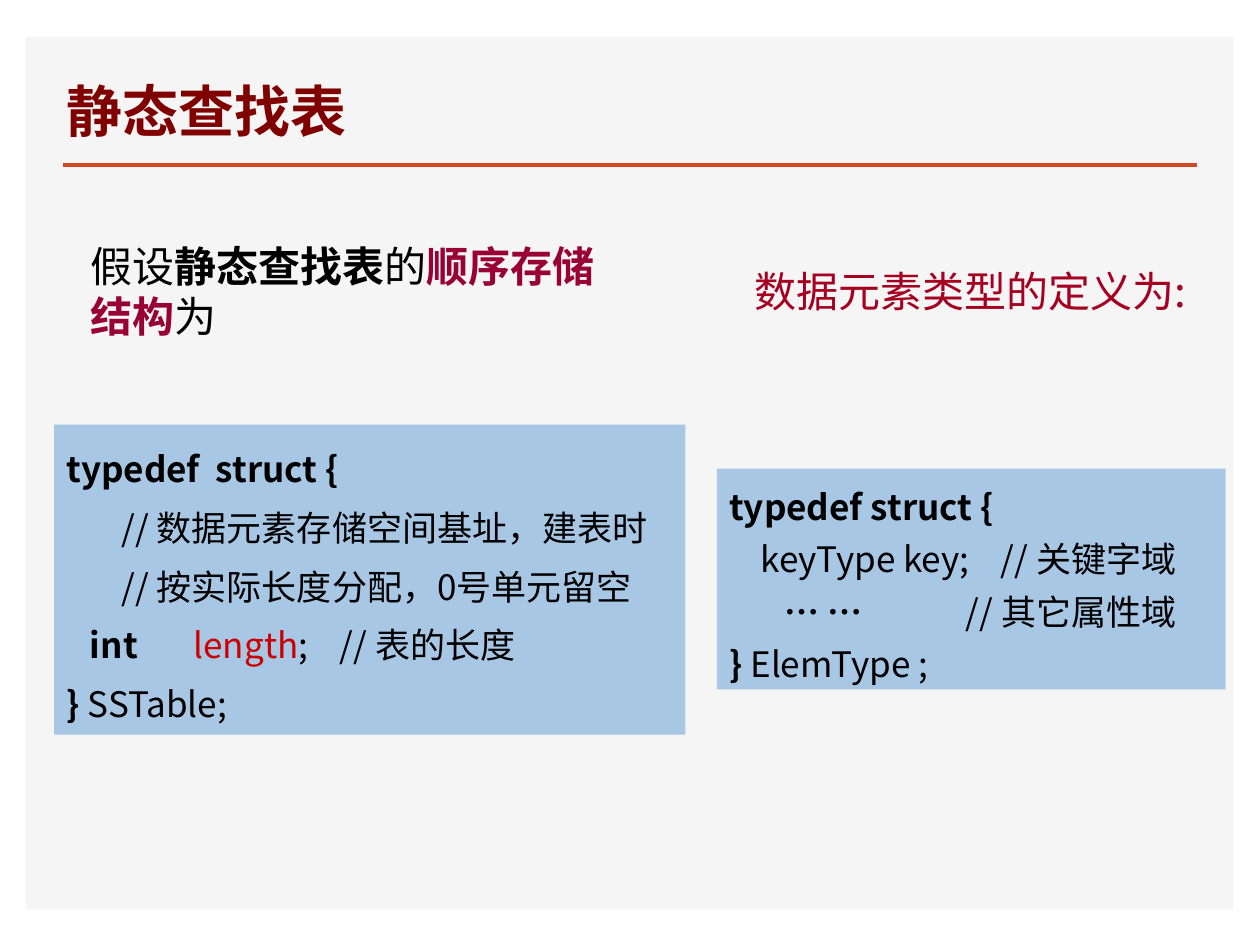
from lxml import etree
from pptx import Presentation
from pptx import util as u
from pptx.dml.color import RGBColor
from pptx.enum import shapes, text
from pptx.oxml.ns import qn

FACE = "Noto Sans CJK SC"
BLACK, RED = "000000", "CC0000"


def paint(fill, hue):
    fill.solid()
    fill.fore_color.rgb = RGBColor.from_string(hue)


def write(box, lines, size, gap=1.0, **frame):
    """Fill a box with lines, each a list of (words, bold, colour) runs."""
    body = box.text_frame
    form = {"word_wrap": True, "vertical_anchor": text.MSO_ANCHOR.TOP,
            "auto_size": text.MSO_AUTO_SIZE.SHAPE_TO_FIT_TEXT}
    for key, val in (form | frame).items():
        setattr(body, key, val)
    for i, line in enumerate(lines):
        para = body.add_paragraph() if i else body.paragraphs[0]
        para.alignment = text.PP_ALIGN.LEFT
        para.line_spacing = gap
        for words, bold, hue in line:
            run = para.add_run()
            run.text = words
            for key, val in {"name": FACE, "size": u.Pt(size), "bold": bold}.items():
                setattr(run.font, key, val)
            paint(run.font.fill, hue)
            latin = run.font._element.find(qn("a:latin"))
            east = etree.Element(qn("a:ea"), typeface=FACE)
            latin.addnext(east)


deck = Presentation()
deck.slide_width, deck.slide_height = u.Cm(25.4), u.Cm(19.05)
slide = deck.slides.add_slide(deck.slide_layouts[6])
parts = slide.shapes

# Background panel and title rule
panel = parts.add_shape(shapes.MSO_SHAPE.RECTANGLE,
                        u.Cm(0.53), u.Cm(0.74), u.Cm(24.33), u.Cm(17.6))
panel.shadow.inherit = False
paint(panel.fill, "F5F5F5")
panel.line.fill.background()

rule = parts.add_connector(shapes.MSO_CONNECTOR.STRAIGHT,
                           u.Cm(1.27), u.Cm(3.33), u.Cm(24.13), u.Cm(3.33))
paint(rule.line.fill, "D24726")
rule.line.width = u.Pt(2)
etree.SubElement(rule._element.spPr, qn("a:effectLst"))

# Title and the two lead-ins
title = parts.add_textbox(u.Cm(1.09), u.Cm(1.24), u.Cm(14.33), u.Cm(1.78))
write(title, [[("静态查找表", True, "800000")]], 32,
      vertical_anchor=text.MSO_ANCHOR.BOTTOM, auto_size=text.MSO_AUTO_SIZE.NONE)

store = parts.add_textbox(u.Cm(1.57), u.Cm(4.72), u.Cm(11.1), u.Cm(2.31))
write(store, [[("假设", False, BLACK), ("静态查找表", True, BLACK),
               ("的", False, BLACK), ("顺序存储结构", True, "990033"),
               ("为", False, BLACK)]], 24)

elem = parts.add_textbox(u.Cm(14.96), u.Cm(5.23), u.Cm(9.27), u.Cm(1.27))
write(elem, [[("数据元素类型的定义为:", False, "A50021")]], 24, word_wrap=False)

# Code blocks: place, line spacing, lines
table = [
    [("typedef  struct {", True, BLACK)],
    [("       // 数据元素存储空间基址，建表时", False, BLACK)],
    [("       // 按实际长度分配，0号单元留空", False, BLACK)],
    [("   ", False, BLACK), ("int       ", True, BLACK),
     ("length", False, RED), (";    // 表的长度", False, BLACK)],
    [("} ", True, BLACK), ("SSTable;", False, BLACK)],
]
entry = [
    [("typedef struct {", True, BLACK)],
    [("    keyType key;    // 关键字域", False, BLACK)],
    [("       ", False, BLACK), ("… …             ", True, BLACK),
     ("// 其它属性域", False, BLACK)],
    [("} ", True, BLACK), ("ElemType ;", False, BLACK)],
]
for place, gap, code in [((1.09, 8.56, 12.73, 6.25), 1.4, table),
                         ((14.45, 9.45, 10.26, 4.45), 1.25, entry)]:
    block = parts.add_shape(shapes.MSO_SHAPE.RECTANGLE, *map(u.Cm, place))
    block.shadow.inherit = False
    paint(block.fill, "5B9BD5")
    tint = block._element.spPr.find(qn("a:solidFill"))[0]
    etree.SubElement(tint, qn("a:alpha"), val="50000")
    block.line.fill.background()
    write(block, code, 20, gap, word_wrap=False)

deck.save("out.pptx")
